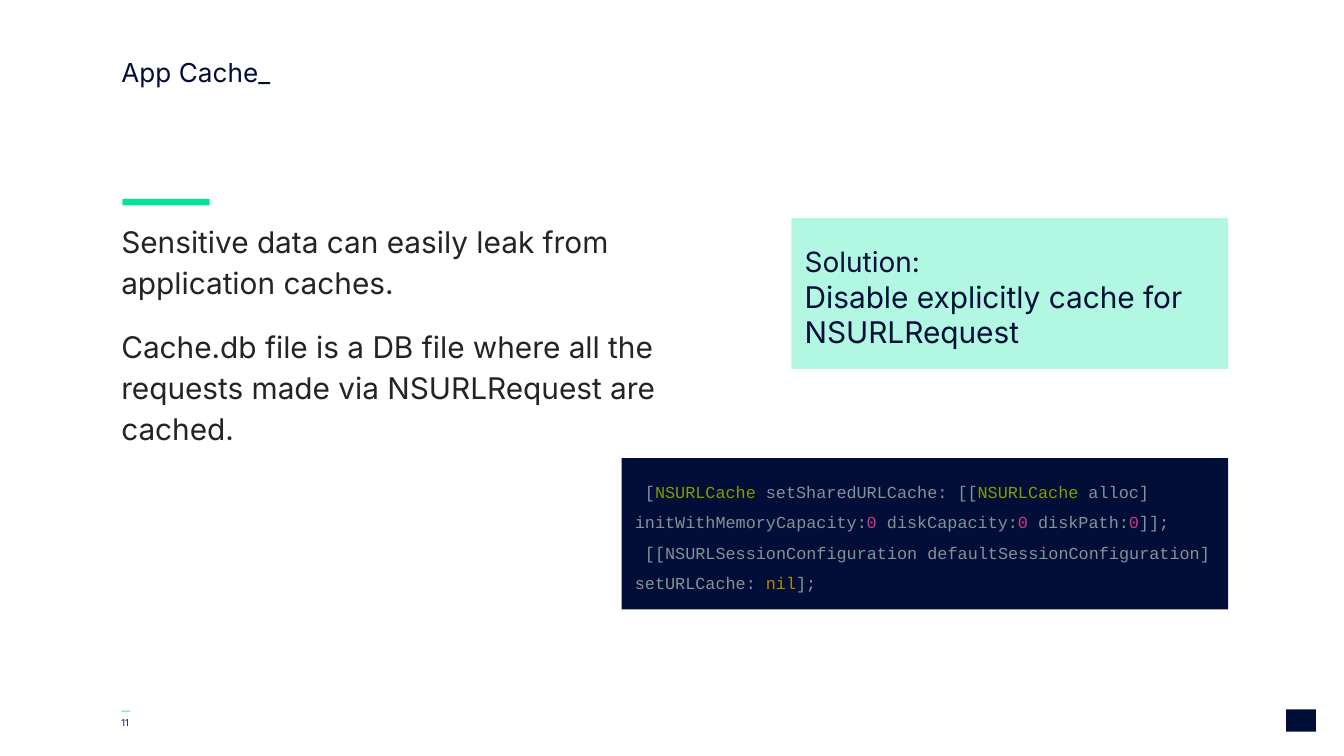
from pptx import Presentation
from pptx.dml.color import RGBColor
from pptx.enum.shapes import MSO_SHAPE
from pptx.enum.text import MSO_ANCHOR, MSO_AUTO_SIZE, PP_ALIGN
from pptx.util import Pt

NAVY, GREEN, MINT, INK = "000E38", "00E59A", "B2F7E1", "242424"
CODE, CLASS_NAME, NUMBER, KEYWORD = "839496", "859900", "D33682", "B58900"
LEFT, RIGHT = 65, 658

CODE_LINES = [
    [(" [", CODE), ("NSURLCache", CLASS_NAME), (" setSharedURLCache: [[", CODE),
     ("NSURLCache", CLASS_NAME), (" alloc] initWithMemoryCapacity:", CODE),
     ("0", NUMBER), (" diskCapacity:", CODE), ("0", NUMBER),
     (" diskPath:", CODE), ("0", NUMBER), ("]];", CODE)],
    [(" [[NSURLSessionConfiguration defaultSessionConfiguration] setURLCache: ", CODE),
     ("nil", KEYWORD), ("];", CODE)],
]


def rgb(hex_colour):
    """Turn a hex string into a colour."""
    return RGBColor.from_string(hex_colour)


def place(shape, box):
    """Move a shape to a box of left, top, width and height in points."""
    for side, length in zip(("left", "top", "width", "height"), box):
        setattr(shape, side, Pt(length))


def write(shape, lines, size, font="Inter", insets=(0, 0, 0, 0),
          anchor=MSO_ANCHOR.TOP, **spacing):
    """Fill a shape with lines of (text, colour[, size]) runs."""
    frame = shape.text_frame
    frame_format = dict(zip(("margin_left", "margin_top", "margin_right", "margin_bottom"),
                            map(Pt, insets)))
    frame_format.update(word_wrap=True, auto_size=MSO_AUTO_SIZE.NONE, vertical_anchor=anchor)
    for name, value in frame_format.items():
        setattr(frame, name, value)
    for index, line in enumerate(lines):
        paragraph = frame.add_paragraph() if index else frame.paragraphs[0]
        for name, value in {"alignment": PP_ALIGN.LEFT, **spacing}.items():
            setattr(paragraph, name, value)
        for text, colour, *own_size in line:
            run = paragraph.add_run()
            run.text = text
            run.font.name = font
            run.font.size = Pt(own_size[0] if own_size else size)
            run.font.color.rgb = rgb(colour)


def add_panel(slide, box, colour):
    """Add a plain filled rectangle."""
    panel = slide.shapes.add_shape(MSO_SHAPE.RECTANGLE, *map(Pt, box))
    panel.shadow.inherit = False
    panel.fill.solid()
    panel.fill.fore_color.rgb = rgb(colour)
    panel.line.fill.background()
    return panel


def add_title(slide, box):
    """Write the slide title in its placeholder."""
    place(slide.shapes.title, box)
    write(slide.shapes.title, [[("App Cache_", NAVY)]], 14)


def add_explanation(slide, box):
    """Add the accent bar and the two statements below it."""
    left, top, _, _ = box
    add_panel(slide, (left + 0.5, top - 10.5, 46.8, 3.6), GREEN)
    statements = [
        "Sensitive data can easily leak from application caches.",
        "Cache.db file is a DB file where all the requests made via NSURLRequest are cached.",
    ]
    write(slide.shapes.add_textbox(*map(Pt, box)), [[(text, INK)] for text in statements],
          16, line_spacing=1.15, space_before=Pt(12))


def add_solution(slide, box):
    """Add the mint panel with the solution."""
    write(add_panel(slide, box, MINT),
          [[("Solution:", NAVY, 15)], [("Disable explicitly cache for NSURLRequest", NAVY)]],
          16, insets=(7.2, 14.4, 7.2, 7.2))


def add_code(slide, box):
    """Add the dark panel with the coloured code."""
    write(add_panel(slide, box, NAVY), CODE_LINES, 9, font="Courier New",
          insets=(7.2,) * 4, line_spacing=1.5)


def add_footer(slide, box):
    """Add the page number at the left and a plain corner mark at the right."""
    left, top, width, height = box
    write(slide.shapes.add_textbox(Pt(left), Pt(top), Pt(47), Pt(height)),
          [[("—", GREEN)], [("11", NAVY)]], 5, anchor=MSO_ANCHOR.BOTTOM)
    add_panel(slide, (left + width - 16, top + 5, 16, 12), NAVY)


def main():
    """Build and save the slide."""
    deck = Presentation()
    deck.slide_width, deck.slide_height = Pt(720), Pt(405)
    slide = deck.slides.add_slide(deck.slide_layouts[5])
    add_title(slide, (LEFT, 30.25, 478, 36))
    add_explanation(slide, (LEFT, 117, 291, 143))
    add_solution(slide, (RIGHT - 234, 116.7, 234, 81))
    add_code(slide, (RIGHT - 325, 245.5, 325, 81))
    add_footer(slide, (LEFT, 375, 640, 15))
    deck.save("out.pptx")


if __name__ == "__main__":
    main()
